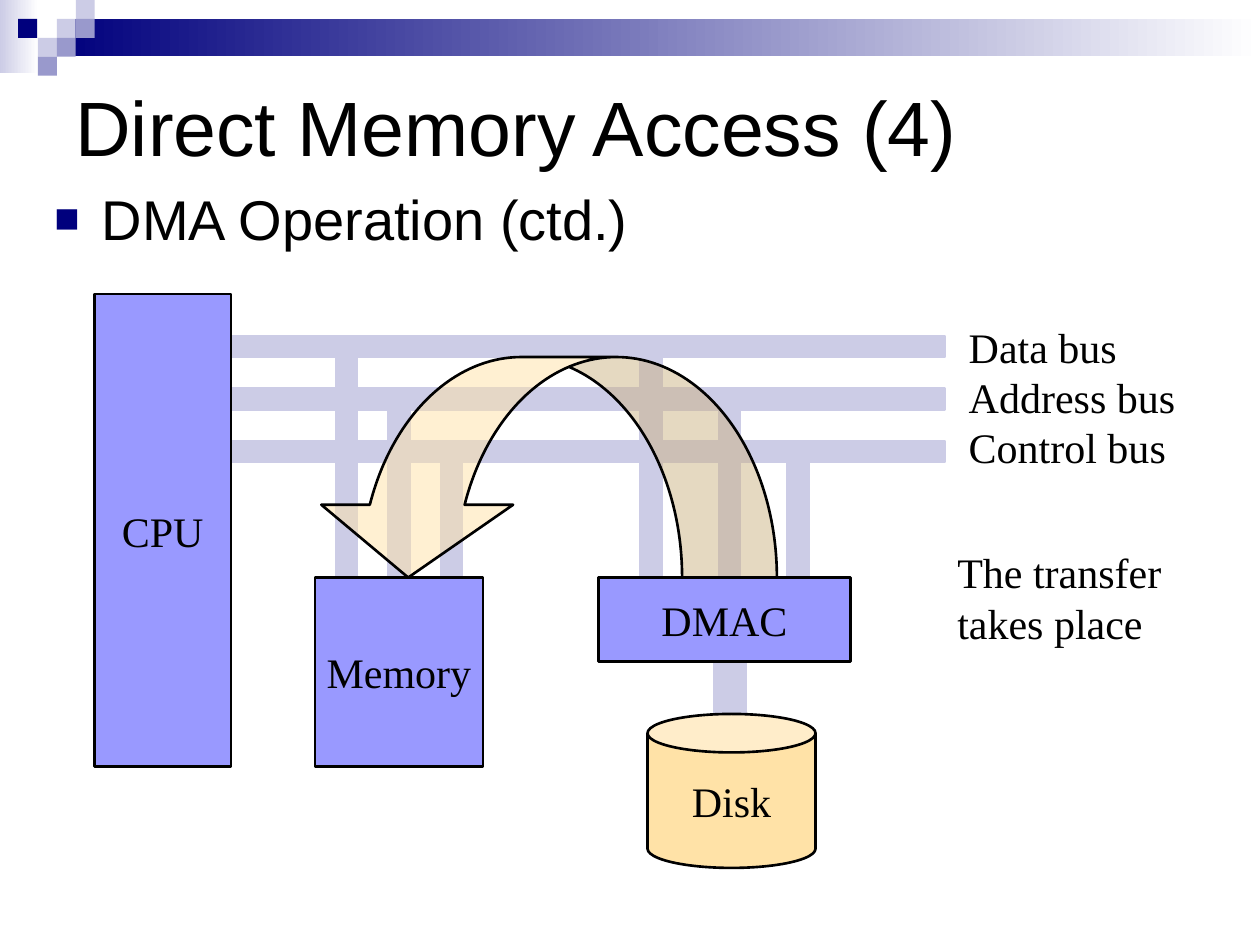
from lxml import etree
from pptx import Presentation
from pptx.dml.color import RGBColor
from pptx.enum.shapes import MSO_SHAPE
from pptx.enum.text import MSO_ANCHOR, PP_ALIGN
from pptx.oxml.ns import qn
from pptx.util import Pt

RECT, CAN, CURVED_ARROW = MSO_SHAPE.RECTANGLE, MSO_SHAPE.CAN, MSO_SHAPE.CURVED_DOWN_ARROW
TOP, MIDDLE = MSO_ANCHOR.TOP, MSO_ANCHOR.MIDDLE
LEFT, CENTER = PP_ALIGN.LEFT, PP_ALIGN.CENTER
NAVY, PALE, MID, BLUE, CREAM = "00007D", "CCCCE6", "9999CC", "9999FF", "FFE2A7"
rgb = RGBColor.from_string


def add_shape(kind, x, y, w, h, fill, line=None):
    """Add a shape; a pair of colours as fill makes a left-to-right gradient."""
    s = slide.shapes.add_shape(kind, Pt(x), Pt(y), Pt(w), Pt(h))
    s.shadow.inherit = False
    if isinstance(fill, tuple):
        s.fill.gradient()
        s.fill.gradient_angle = 0
        for stop, color in zip(s.fill.gradient_stops, fill):
            stop.color.rgb = rgb(color)
    else:
        s.fill.solid()
        s.fill.fore_color.rgb = rgb(fill)
    if line:
        s.line.color.rgb = rgb(line)
        s.line.width = Pt(1.5)
    else:
        s.line.fill.background()
    return s


def set_text(s, text, size=24, font="Times New Roman", align=LEFT, anchor=TOP, wrap=True):
    tf = s.text_frame
    tf.text = text
    tf.word_wrap = wrap
    tf.vertical_anchor = anchor
    for p in tf.paragraphs:
        p.alignment = align
        for r in p.runs:
            r.font.size = Pt(size)
            r.font.name = font
            r.font.color.rgb = rgb("000000")


prs = Presentation()
prs.slide_width, prs.slide_height = Pt(720), Pt(540)
slide = prs.slides.add_slide(prs.slide_layouts[6])

# Header band and mosaic
add_shape(RECT, 0, 0, 22, 42, (PALE, "FFFFFF"))
add_shape(RECT, 32.5, 10.8, 687.5, 21.4, (NAVY, "FFFFFF"))
for x, y, color in [(32.5, 10.8, PALE), (43.3, 0, PALE), (43.3, 10.8, MID), (21.7, 21.6, PALE),
                    (10.4, 10.8, NAVY), (32.5, 21.6, MID), (21.7, 32.4, MID)]:
    add_shape(RECT, x, y, 10.8, 10.8, color)

# Title and bullet
title = slide.shapes.add_textbox(Pt(36), Pt(36), Pt(648), Pt(72))
set_text(title, "Direct Memory Access (4)", 44, "Arial", anchor=MIDDLE)

body = slide.shapes.add_textbox(Pt(24), Pt(102), Pt(660), Pt(414))
set_text(body, "DMA Operation (ctd.)", 32, "Arial")
p = body.text_frame.paragraphs[0]
p.space_before = Pt(8)
pPr = p._p.get_or_add_pPr()
pPr.set("marL", str(Pt(27)))
pPr.set("indent", str(-Pt(27)))
bullet_color = etree.SubElement(pPr, qn("a:buClr"))
etree.SubElement(bullet_color, qn("a:srgbClr"), val=NAVY)
etree.SubElement(pPr, qn("a:buSzPct"), val="75000")
etree.SubElement(pPr, qn("a:buFont"), typeface="Arial")
etree.SubElement(pPr, qn("a:buChar"), char="■")

# Disk link, buses, and the taps that run down from each bus
add_shape(RECT, 408, 378, 18, 102, PALE, PALE)
for y in (192, 222, 252):
    add_shape(RECT, 132, y, 408, 12, PALE, PALE)
for centers in [(198, 228, 258), (372, 417, 456)]:
    for center, top in zip(centers, (204, 228, 258)):
        add_shape(RECT, center - 6, top, 12, 336 - top, PALE, PALE)

# Components
for kind, x, y, w, h, color, label in [
    (RECT, 180, 330, 96, 108, BLUE, "Memory"),
    (RECT, 342, 330, 144, 48, BLUE, "DMAC"),
    (RECT, 54, 168, 78, 270, BLUE, "CPU"),
    (CAN, 370, 408, 96, 88, CREAM, "Disk"),
]:
    s = add_shape(kind, x, y, w, h, color, "000000")
    set_text(s, label, align=CENTER, anchor=MIDDLE, wrap=False)

# Labels
buses = slide.shapes.add_textbox(Pt(546.5), Pt(180), Pt(132.5), Pt(93.6))
set_text(buses, "Data bus\nAddress bus\nControl bus", wrap=False)
note = slide.shapes.add_textbox(Pt(540), Pt(309), Pt(141), Pt(69))
set_text(note, "The transfer takes place")

# Transfer arrow from DMAC to memory
arrow = add_shape(CURVED_ARROW, 178.5, 204, 265.5, 126, CREAM, "000000")
for i, value in enumerate((0.43, 0.87, 0.33)):
    arrow.adjustments[i] = value
arrow._element.spPr.find(qn("a:xfrm")).set("flipH", "1")
arrow_color = arrow._element.spPr.find(qn("a:solidFill"))[0]
etree.SubElement(arrow_color, qn("a:alpha"), val="50000")

prs.save("out.pptx")
